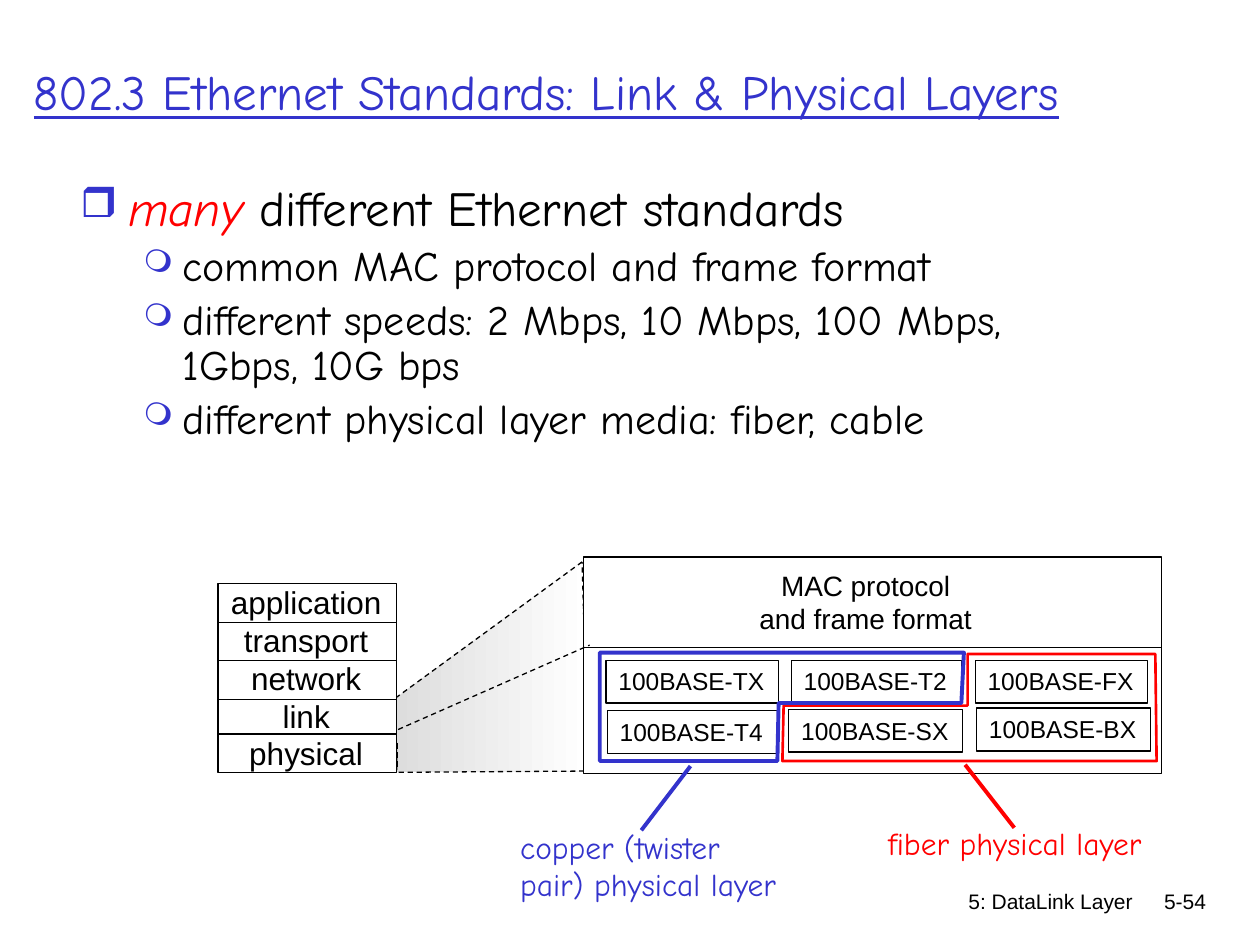
from typing import NamedTuple, Optional, Sequence

from lxml import etree
from pptx import Presentation
from pptx.dml.color import RGBColor
from pptx.enum.dml import MSO_LINE
from pptx.enum.shapes import MSO_CONNECTOR, MSO_SHAPE
from pptx.enum.text import MSO_ANCHOR, PP_ALIGN
from pptx.oxml.ns import qn
from pptx.util import Inches, Pt

LEFT, CENTER, RIGHT = PP_ALIGN.LEFT, PP_ALIGN.CENTER, PP_ALIGN.RIGHT
TOP, MIDDLE = MSO_ANCHOR.TOP, MSO_ANCHOR.MIDDLE
DASH = MSO_LINE.DASH
RECTANGLE, STRAIGHT = MSO_SHAPE.RECTANGLE, MSO_CONNECTOR.STRAIGHT

BLACK = RGBColor(0x00, 0x00, 0x00)
WHITE = RGBColor(0xFF, 0xFF, 0xFF)
GRAY = RGBColor(0xDD, 0xDD, 0xDD)
BLUE = RGBColor(0x33, 0x33, 0xCC)
RED = RGBColor(0xFF, 0x00, 0x00)
SANS, COMIC = "Arial", "Comic Neue"

prs = Presentation()
prs.slide_width, prs.slide_height = Inches(10), Inches(7.5)
slide = prs.slides.add_slide(prs.slide_layouts[6])
shapes = slide.shapes

# All positions are on a grid of 100 columns by 75 rows
COLUMN = prs.slide_width / 100
ROW = prs.slide_height / 75


class Point(NamedTuple):
    col: float
    row: float


class Box(NamedTuple):
    col: float
    row: float
    cols: float
    rows: float


class Style(NamedTuple):
    size: float
    font: str = SANS
    color: RGBColor = BLACK
    underline: bool = False
    italic: bool = False


class Bullet(NamedTuple):
    mark: str
    size_percent: int
    level: int
    margin: float
    hanging: float
    space_before: float


class Chip(NamedTuple):
    label: str
    box: Box


class Medium(NamedTuple):
    color: RGBColor
    outline: Sequence[Point]
    outline_width: float
    pointer: Sequence[Point]
    caption: Sequence[str]
    caption_box: Box


def place(box: Box) -> list[int]:
    return [round(n * unit) for n, unit in zip(box, (COLUMN, ROW, COLUMN, ROW))]


def set_line(shape, color: RGBColor, width: float, dash=None) -> None:
    shape.line.color.rgb = color
    shape.line.width = Pt(width)
    if dash is not None:
        shape.line.dash_style = dash


def add_run(paragraph, text: str, style: Style) -> None:
    run = paragraph.add_run()
    run.text = text
    run.font.size = Pt(style.size)
    run.font.name = style.font
    run.font.color.rgb = style.color
    run.font.underline = style.underline
    run.font.italic = style.italic


def write(frame, lines: Sequence[str], style: Style, align=LEFT,
          anchor=TOP, wrap: bool = False) -> None:
    frame.word_wrap = wrap
    frame.vertical_anchor = anchor
    for i, text in enumerate(lines):
        paragraph = frame.add_paragraph() if i else frame.paragraphs[0]
        paragraph.alignment = align
        add_run(paragraph, text, style)


def label(box: Box, lines: Sequence[str], style: Style, **layout) -> None:
    write(shapes.add_textbox(*place(box)).text_frame, lines, style, **layout)


def rectangle(box: Box, fill: Optional[RGBColor] = None):
    shape = shapes.add_shape(RECTANGLE, *place(box))
    shape.shadow.inherit = False
    if fill is None:
        shape.fill.background()
    else:
        shape.fill.solid()
        shape.fill.fore_color.rgb = fill
    set_line(shape, BLACK, 0.75)
    return shape


def line(start: Point, end: Point, color: RGBColor = BLACK,
         width: float = 0.75, dash=None) -> None:
    connector = shapes.add_connector(STRAIGHT, *place((*start, *end)))
    set_line(connector, color, width, dash)
    etree.SubElement(connector._element.spPr, qn("a:effectLst"))


def outline(points: Sequence[Point], color: RGBColor, width: float,
            dash=None, close: bool = True):
    corners = [(round(p.col * COLUMN), round(p.row * ROW)) for p in points]
    builder = shapes.build_freeform(*corners[0], scale=1.0)
    builder.add_line_segments(corners[1:], close=close)
    shape = builder.convert_to_shape()
    shape.shadow.inherit = False
    shape.fill.background()
    set_line(shape, color, width, dash)
    return shape


def set_bullet(paragraph, bullet: Bullet) -> None:
    paragraph.level = bullet.level
    paragraph.line_spacing = 0.9
    paragraph.space_before = Pt(bullet.space_before)
    props = paragraph._p.get_or_add_pPr()
    props.set("marL", str(round(bullet.margin * COLUMN)))
    props.set("indent", str(round(-bullet.hanging * COLUMN)))
    color = etree.SubElement(props, qn("a:buClr"))
    etree.SubElement(color, qn("a:srgbClr"), val=str(BLUE))
    etree.SubElement(props, qn("a:buSzPct"), val=str(bullet.size_percent * 1000))
    etree.SubElement(props, qn("a:buChar"), char=bullet.mark)


# Footer and title
FOOTER = Style(12)
label(Box(59.2, 70, 31.7, 5), ["5: DataLink Layer"], FOOTER, align=RIGHT, wrap=True)
label(Box(89.3, 70, 7.4, 5), ["5-54"], FOOTER, align=RIGHT, wrap=True)
label(Box(1.7, 1, 95.3, 12.5), ["802.3 Ethernet Standards: Link & Physical Layers"],
      Style(28, COMIC, BLUE, underline=True), anchor=MIDDLE, wrap=True)

# Bulleted text
MAIN = Bullet("❒", 85, 0, 3.8, 3.8, 0)
SUB = Bullet("❍", 75, 1, 8.1, 3.1, 4.8)
POINT, DETAIL = Style(28, COMIC), Style(24, COMIC)
STANDARDS = [
    (MAIN, [("many", Style(28, COMIC, RED, italic=True)),
            (" different Ethernet standards", POINT)]),
    (SUB, [("common MAC protocol and frame format", DETAIL)]),
    (SUB, [("different speeds: 2 Mbps, 10 Mbps, 100 Mbps, 1Gbps, 10G bps", DETAIL)]),
    (SUB, [("different physical layer media: fiber, cable", DETAIL)]),
]
body = shapes.add_textbox(*place(Box(5.4, 14.1, 85, 23))).text_frame
body.word_wrap = True
for i, (bullet, runs) in enumerate(STANDARDS):
    item = body.add_paragraph() if i else body.paragraphs[0]
    set_bullet(item, bullet)
    for text, style in runs:
        add_run(item, text, style)

# Shaded wedge that widens the link and physical layers
wedge = outline([Point(46.2, 44.6), Point(31.4, 55.4), Point(31.5, 61.3),
                 Point(46.7, 61.2)], BLACK, 0.75, DASH)
wedge.fill.gradient()
wedge.fill.gradient_angle = 0
for stop, color, position in zip(wedge.fill.gradient_stops, (GRAY, WHITE), (0, 1)):
    stop.color.rgb = color
    stop.position = position

# Protocol stack
STACK = Box(17.3, 46.3, 14.2, 15)
STACK_RIGHT = STACK.col + STACK.cols
rectangle(STACK, WHITE)
label(Box(17.3, 45.8, 14, 16),
      ["application", "transport", "network", "link", "physical"],
      Style(18), align=CENTER)
for row in (49.4, 52.4, 55.5, 58.25):
    line(Point(STACK.col, row), Point(STACK_RIGHT, row))
for col in (STACK.col, STACK_RIGHT):
    line(Point(col, 59), Point(col, 60.9), dash=DASH)

# Ethernet panel: MAC on top, physical layers below
PANEL = Box(46.3, 44.2, 45.9, 17.2)
rectangle(PANEL, WHITE)
line(Point(PANEL.col, 51.4), Point(PANEL.col + PANEL.cols, 51.4))
label(Box(59.2, 44.6, 19, 6.4), ["MAC protocol", "and frame format"],
      Style(16), align=CENTER)
outline([Point(31.6, 57.9), Point(46.8, 51.2)], BLACK, 0.75, DASH, close=False)

CHIPS = [
    Chip("100BASE-TX", Box(48.1, 52.4, 13.7, 3.4)),
    Chip("100BASE-T4", Box(48.2, 56.4, 13.5, 3.4)),
    Chip("100BASE-FX", Box(77.4, 52.4, 13.7, 3.4)),
    Chip("100BASE-T2", Box(62.8, 52.4, 13.5, 3.4)),
    Chip("100BASE-SX", Box(62.6, 56.3, 13.8, 3.4)),
    Chip("100BASE-BX", Box(77.5, 56.2, 13.8, 3.4)),
]
for chip in CHIPS:
    write(rectangle(chip.box).text_frame, [chip.label], Style(14))

# Fiber and copper groups with their captions
MEDIA = [
    Medium(RED, [Point(76.8, 51.9), Point(76.8, 56), Point(62.2, 56),
                 Point(62.1, 60.4), Point(91.8, 60.4), Point(91.7, 51.9)], 1.5,
           [Point(76.6, 60.7), Point(80.5, 65.7)],
           ["fiber physical layer"], Box(69.5, 64.9, 24.6, 4)),
    Medium(BLUE, [Point(76.5, 51.8), Point(76.3, 55.8), Point(61.8, 55.8),
                  Point(61.7, 60.4), Point(47.6, 60.4), Point(47.6, 51.8)], 2.25,
           [Point(54.8, 60.8), Point(50.9, 65.9)],
           ["copper (twister", "pair) physical layer"], Box(40.3, 65.2, 24, 7)),
]
for medium in MEDIA:
    outline(medium.outline, medium.color, medium.outline_width)
    line(*medium.pointer, medium.color, 2.25)
    label(medium.caption_box, medium.caption, Style(18, COMIC, medium.color))

prs.save("out.pptx")
